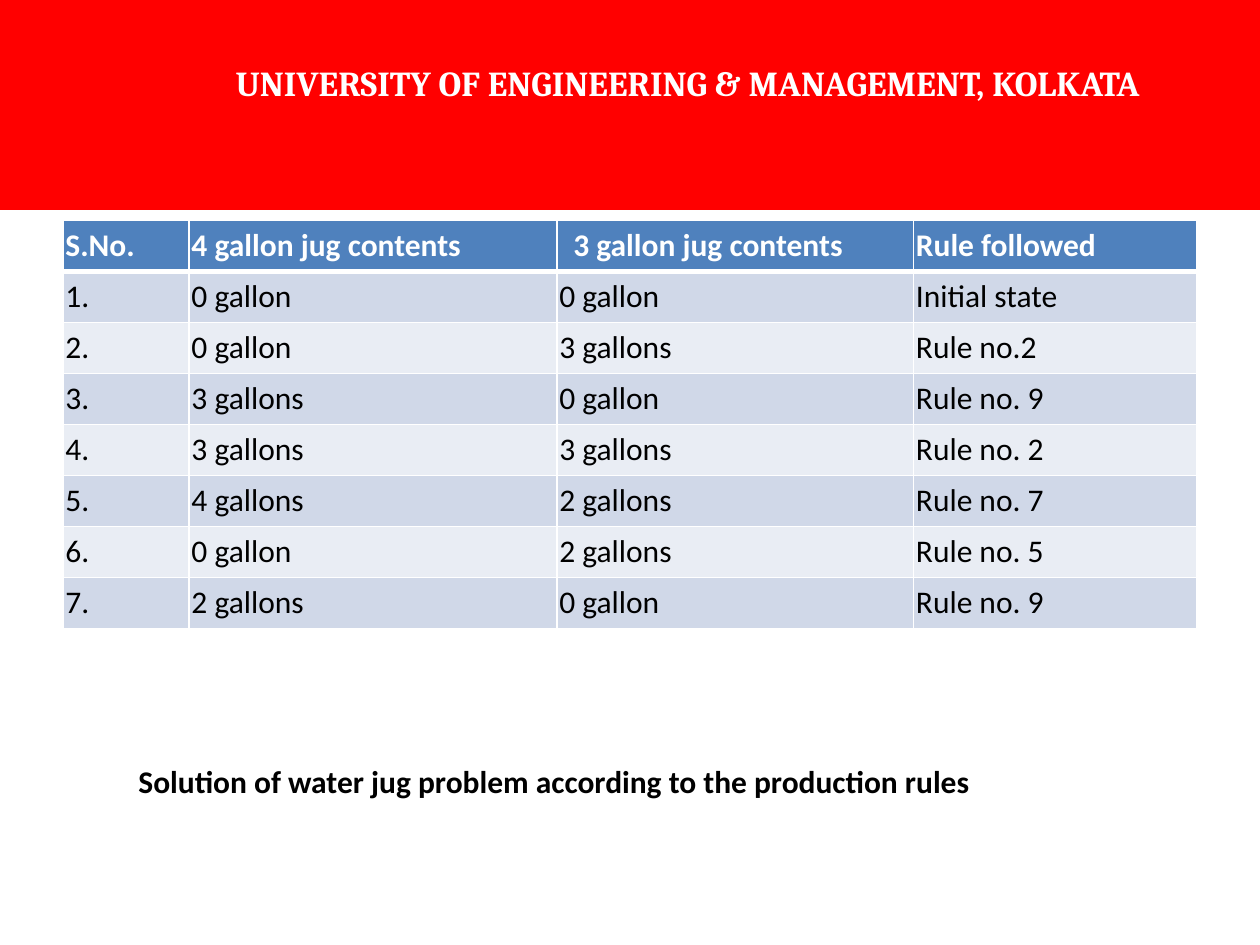
from dataclasses import dataclass
from lxml.etree import SubElement
from pptx import Presentation
from pptx.dml.color import RGBColor
from pptx.enum.text import MSO_ANCHOR, MSO_AUTO_SIZE, PP_ALIGN
from pptx.oxml.ns import qn
from pptx.slide import Slide
from pptx.util import Inches, Pt

COLORS = {
    "white": "FFFFFF",
    "black": "000000",
    "red": "FF0000",
    "head": "4F81BD",
    "odd": "D0D8E8",
    "even": "E9EDF4",
}
PLAIN = "{2D5ABB26-0587-4C30-8999-92F81FD0307C}"

HEADS = ["S.No.", "4 gallon jug contents", "3 gallon jug contents", "Rule followed"]
STEPS = [
    ("0 gallon", "0 gallon", "Initial state"),
    ("0 gallon", "3 gallons", "Rule no.2"),
    ("3 gallons", "0 gallon", "Rule no. 9"),
    ("3 gallons", "3 gallons", "Rule no. 2"),
    ("4 gallons", "2 gallons", "Rule no. 7"),
    ("0 gallon", "2 gallons", "Rule no. 5"),
    ("2 gallons", "0 gallon", "Rule no. 9"),
]


@dataclass
class Deck:
    slide: Slide
    font: str = "Calibri"
    size: int = 18

    def text(self, frame, words, color, bold=False, font=None, size=None):
        para = frame.paragraphs[0]
        para.text = words
        para.font.name = font or self.font
        para.font.size = Pt(size or self.size)
        para.font.bold = bold
        para.font.color.rgb = RGBColor.from_string(COLORS[color])
        return para

    def fill(self, cell, color):
        cell.fill.solid()
        cell.fill.fore_color.rgb = RGBColor.from_string(COLORS[color])

    def edge(self, cell, **widths):
        props = cell._tc.get_or_add_tcPr()
        for side in "LRTB":
            line = SubElement(props, qn(f"a:ln{side}"), w=str(Pt(widths.get(side, 1))))
            paint = SubElement(line, qn("a:solidFill"))
            SubElement(paint, qn("a:srgbClr"), val=COLORS["white"])

    def table(self, rows, left, top, widths, height):
        box = [Inches(n) for n in (left, top, sum(widths), height)]
        table = self.slide.shapes.add_table(rows, len(widths), *box).table
        table._tbl.tblPr.find(qn("a:tableStyleId")).text = PLAIN
        for col, width in zip(table.columns, widths):
            col.width = Inches(width)
        return table

    def steps(self):
        rows = [HEADS] + [(f"{n}.", *step) for n, step in enumerate(STEPS, 1)]
        table = self.table(len(rows), 0.5, 1.75, [1, 2.92, 2.83, 2.25], 3.24)
        for r, row in enumerate(rows):
            head = r == 0
            shade = "head" if head else ("even", "odd")[r % 2]
            for c, words in enumerate(row):
                cell = table.cell(r, c)
                self.edge(cell, T=3 if r == 1 else 1, B=3 if head else 1)
                self.fill(cell, shade)
                cell.vertical_anchor = MSO_ANCHOR.MIDDLE
                cell.margin_left = cell.margin_right = Inches(0.02)
                cell.margin_top = cell.margin_bottom = Inches(0.02)
                self.text(cell.text_frame, words, "white" if head else "black", head)
        table.cell(0, 2).margin_left = Inches(0.13)

    def banner(self, words):
        heights = [0.47, 0.64, 0.56]
        table = self.table(3, 0, 0, [1.17, 8.58, 0.25], sum(heights))
        for row, height in zip(table.rows, heights):
            row.height = Inches(height)
        for cell in table.iter_cells():
            self.fill(cell, "red")
        for start, end in [((0, 0), (0, 1)), ((1, 0), (2, 0)), ((2, 1), (2, 2))]:
            table.cell(*start).merge(table.cell(*end))
        frame = table.cell(1, 1).text_frame
        para = self.text(frame, words, "white", True, "Cambria", 20)
        para.alignment = PP_ALIGN.CENTER

    def label(self, words, *box):
        frame = self.slide.shapes.add_textbox(*map(Inches, box)).text_frame
        frame.word_wrap = True
        frame.auto_size = MSO_AUTO_SIZE.SHAPE_TO_FIT_TEXT
        self.text(frame, words, "black", True)


def main():
    prs = Presentation()
    prs.slide_width, prs.slide_height = Inches(10), Inches(7.5)
    deck = Deck(prs.slides.add_slide(prs.slide_layouts[6]))
    deck.steps()
    deck.banner("UNIVERSITY OF ENGINEERING & MANAGEMENT, KOLKATA")
    deck.label(
        "Solution of water jug problem according to the production rules",
        1, 6, 7.42, 0.4,
    )
    prs.save("out.pptx")


if __name__ == "__main__":
    main()
